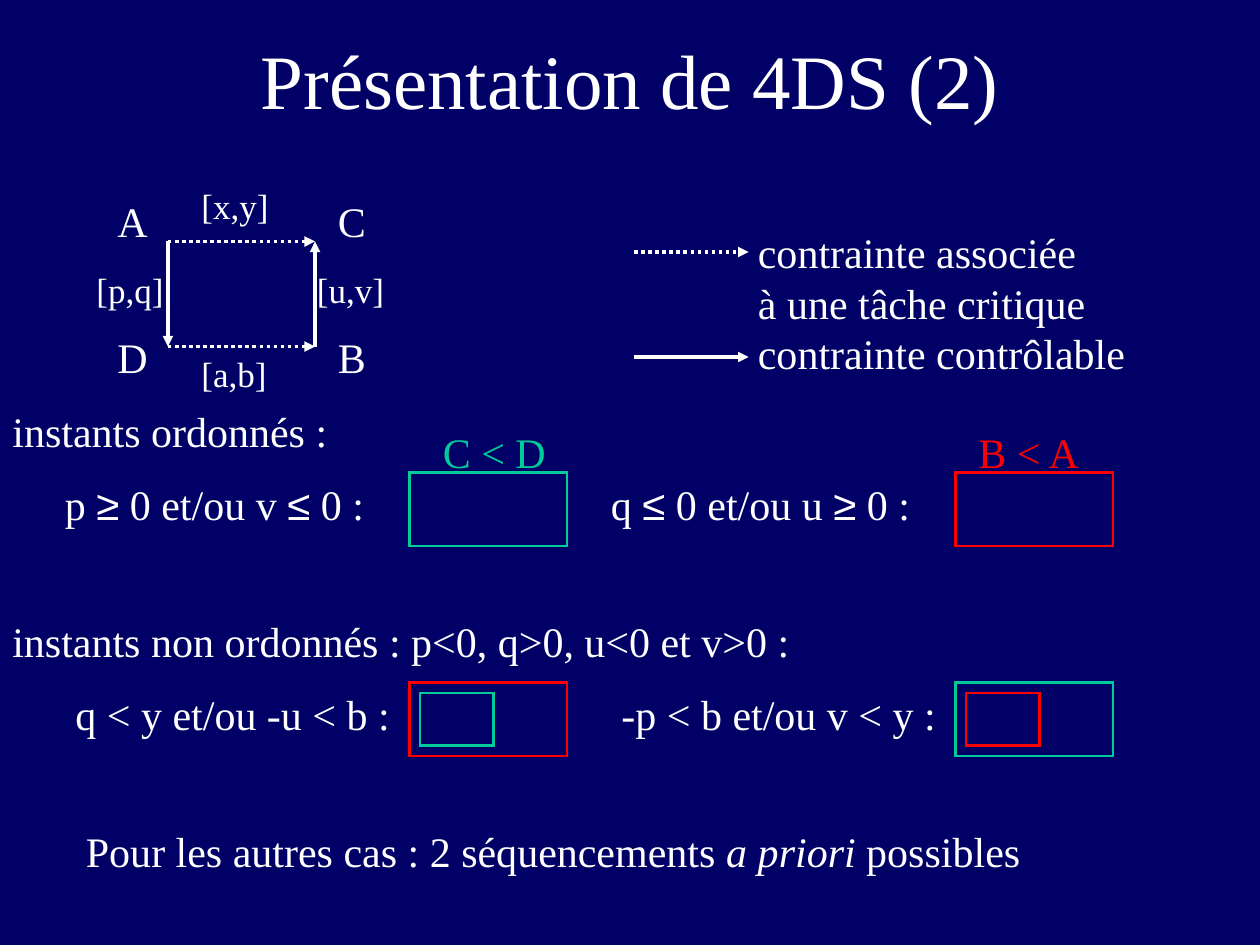
from dataclasses import dataclass

from lxml.etree import SubElement
from pptx import Presentation
from pptx.dml.color import RGBColor
from pptx.enum.dml import MSO_LINE_DASH_STYLE as Dash
from pptx.enum.shapes import MSO_CONNECTOR_TYPE as Connector, MSO_SHAPE as Shape
from pptx.enum.text import MSO_ANCHOR as Anchor, MSO_AUTO_SIZE as AutoSize, PP_ALIGN as Align
from pptx.oxml.ns import qn
from pptx.util import Inches, Pt


@dataclass(frozen=True)
class Theme:
    background: RGBColor = RGBColor.from_string("000066")
    white: RGBColor = RGBColor.from_string("FFFFFF")
    red: RGBColor = RGBColor.from_string("FF0000")
    green: RGBColor = RGBColor.from_string("00CC99")
    font: str = "Times New Roman"
    symbol_font: str = "Arial"
    title: int = 44
    body: int = 24
    label: int = 20
    arrow: float = 2
    outline: float = 1.5


@dataclass(frozen=True)
class Span:
    text: str
    symbol: bool = False
    italic: bool = False


class SlideBuilder:
    columns, rows = 120, 90

    def __init__(self, deck, theme):
        self.deck = deck
        self.theme = theme
        self.page = deck.slides.add_slide(deck.slide_layouts[6])
        fill = self.page.background.fill
        fill.solid()
        fill.fore_color.rgb = theme.background

    def place(self, *cells):
        units = self.deck.slide_width / self.columns, self.deck.slide_height / self.rows
        return [round(cell * units[index % 2]) for index, cell in enumerate(cells)]

    def text(self, column, row, width, height, *lines, size=None, color=None, wrap=False):
        box = self.page.shapes.add_textbox(*self.place(column, row, width, height))
        frame = box.text_frame
        frame.word_wrap = wrap
        frame.auto_size = AutoSize.SHAPE_TO_FIT_TEXT
        for index, line in enumerate(lines):
            para = frame.paragraphs[0] if index == 0 else frame.add_paragraph()
            for span in [Span(line)] if isinstance(line, str) else line:
                run = para.add_run()
                run.text = span.text
                font = run.font
                font.name = self.theme.symbol_font if span.symbol else self.theme.font
                font.size = Pt(size or self.theme.body)
                font.color.rgb = color or self.theme.white
                font.italic = span.italic
        return box

    def title(self, column, row, width, height, text):
        frame = self.text(column, row, width, height, text,
                          size=self.theme.title, wrap=True).text_frame
        frame.auto_size = AutoSize.NONE
        frame.vertical_anchor = Anchor.MIDDLE
        frame.paragraphs[0].alignment = Align.CENTER

    def arrow(self, start, end, dotted=False):
        arrow = self.page.shapes.add_connector(Connector.STRAIGHT, *self.place(*start, *end))
        line = arrow.line
        line.color.rgb = self.theme.white
        line.width = Pt(self.theme.arrow)
        if dotted:
            line.dash_style = Dash.ROUND_DOT
        SubElement(line._get_or_add_ln(), qn("a:tailEnd"), type="triangle")
        SubElement(arrow._element.spPr, qn("a:effectLst"))

    def frame(self, column, row, width, height, color):
        frame = self.page.shapes.add_shape(Shape.RECTANGLE,
                                           *self.place(column, row, width, height))
        frame.shadow.inherit = False
        frame.fill.background()
        frame.line.color.rgb = color
        frame.line.width = Pt(self.theme.outline)
        SubElement(frame.line._get_or_add_ln(), qn("a:miter"), lim="800000")


def draw_graph(slide):
    left, right, top, bottom = 16, 30, 23, 33
    for row in (top, bottom):
        slide.arrow((left, row), (right, row), dotted=True)
    slide.arrow((right, bottom), (right, top))
    slide.arrow((left, top), (left, bottom))
    for text, column, row in (("[x,y]", 18, 17), ("[a,b]", 18, 33),
                              ("[p,q]", 8, 25), ("[u,v]", 29, 25)):
        slide.text(column, row, 9, 5.25, text, size=slide.theme.label)
    for text, column, row in (("A", 10, 18), ("C", 31, 18), ("D", 10, 31), ("B", 31, 31)):
        slide.text(column, row, 5.5, 6, text)


def draw_legend(slide):
    for row, dotted in ((24, True), (34, False)):
        slide.arrow((60.4, row), (71.3, row), dotted)
    slide.text(71, 21, 38, 15.6, "contrainte associée", "à une tâche critique",
               "contrainte contrôlable")


def draw_cases(slide):
    theme = slide.theme
    at_least, at_most = Span("≥", symbol=True), Span("≤", symbol=True)
    shift = 52
    cases = (
        ("p ", at_least, " 0 et/ou v ", at_most, "C < D", "q < y et/ou -u < b :",
         theme.green, theme.red),
        ("q ", at_most, " 0 et/ou u ", at_least, "B < A", "-p < b et/ou v < y :",
         theme.red, theme.green),
    )
    slide.text(0, 38, 33, 6, "instants ordonnés :")
    slide.text(0, 58, 78, 6, "instants non ordonnés : p<0, q>0, u<0 et v>0 :", wrap=True)
    for index, (first, sign, middle, other, order, overlap, color, outer) in enumerate(cases):
        offset = index * shift
        condition = [Span(first), sign, Span(middle), other, Span(" 0 :")]
        slide.text(5 + offset, 45, 33.5, 6, condition)
        slide.frame(39 + offset, 45, 15, 7, color)
        slide.text(41 + index * 51, 40, 12.5, 6, order, color=color)
        slide.text(6 + offset, 65, 33, 6, overlap)
        slide.frame(39 + offset, 65, 15, 7, outer)
        slide.frame(40 + offset, 66, 7, 5, color)
    slide.text(7, 78, 104, 6, [Span("Pour les autres cas : 2 séquencements "),
                               Span("a priori", italic=True), Span(" possibles")], wrap=True)


def main():
    deck = Presentation()
    deck.slide_width, deck.slide_height = Inches(10), Inches(7.5)
    slide = SlideBuilder(deck, Theme())
    slide.title(9, 0, 102, 15, "Présentation de 4DS (2)")
    draw_legend(slide)
    draw_graph(slide)
    draw_cases(slide)
    deck.save("out.pptx")


if __name__ == "__main__":
    main()
